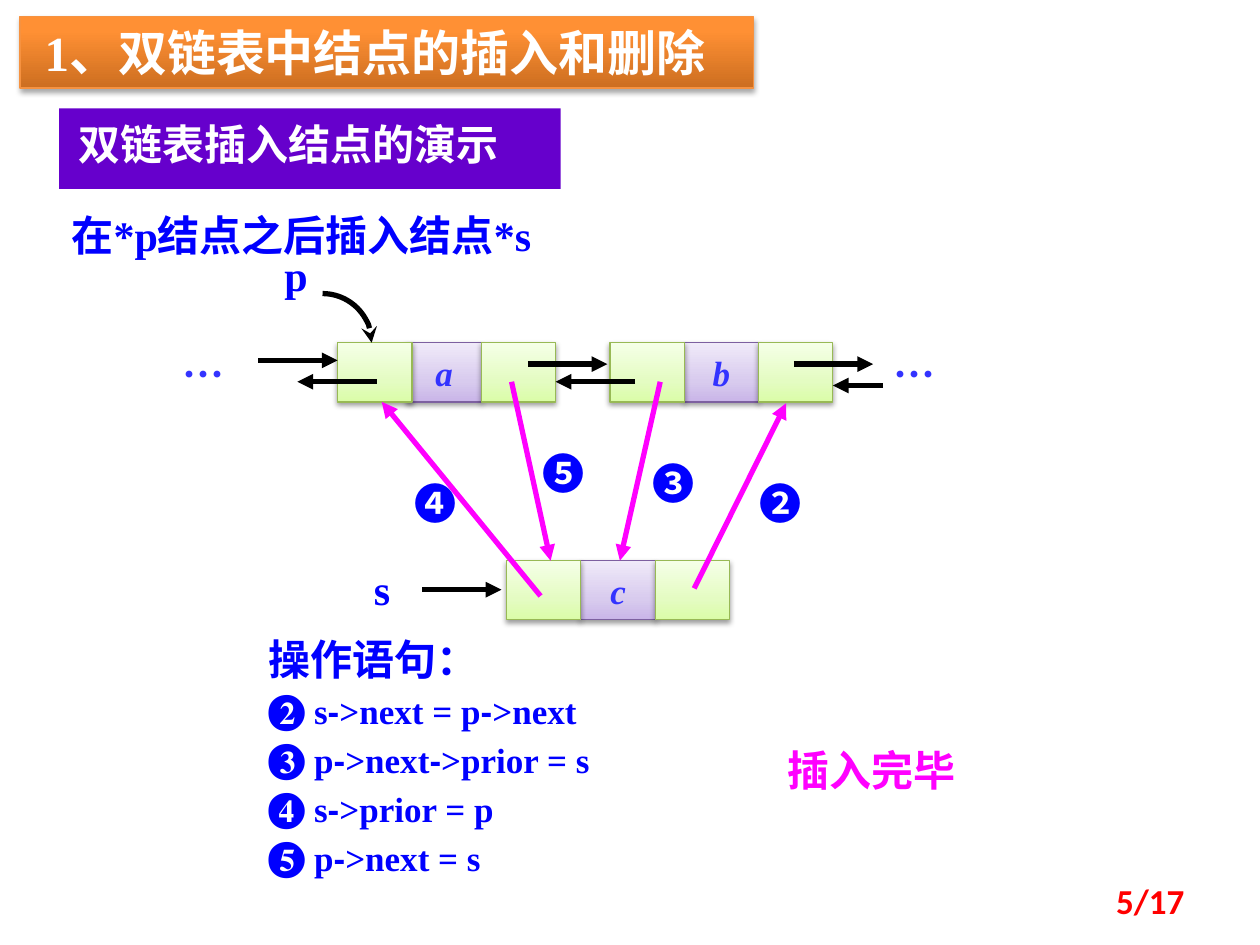
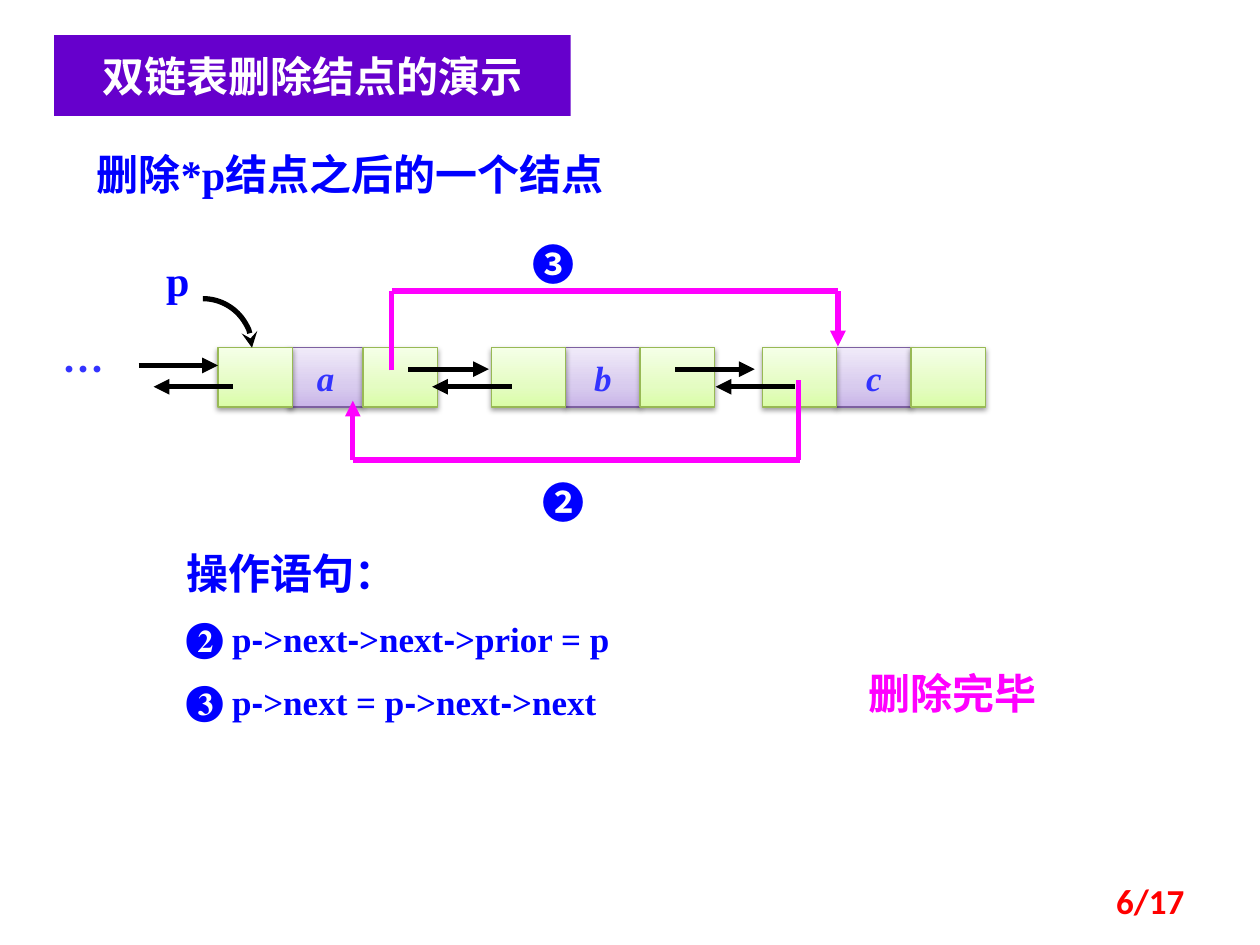
from dataclasses import dataclass

from lxml.etree import SubElement
from pptx import Presentation
from pptx.dml.color import RGBColor
from pptx.enum.shapes import MSO_CONNECTOR as Connector, MSO_SHAPE as Shape
from pptx.enum.text import MSO_ANCHOR as Anchor, PP_ALIGN as Align
from pptx.oxml import parse_xml
from pptx.oxml.ns import nsdecls, qn
from pptx.util import Inches, Pt


@dataclass(frozen=True)
class Theme:
    """Colours, fonts and type sizes of the deck."""
    blue: str = "0000FF"
    soft_blue: str = "3333FF"
    pink: str = "FF00FF"
    purple: str = "6600CC"
    white: str = "FFFFFF"
    black: str = "000000"
    red: str = "FF0000"
    # Gradients run upwards; each is (stops, outline, shadow opacity, shadow distance).
    green_cell: tuple = (((0, "DAFDA7"), (35, "E4FCC2"), (100, "F5FFE7")), "98B955", 38, 1.6)
    violet_cell: tuple = (((0, "C9B5E8"), (35, "D8CBEE"), (100, "F0EAF9")), "7D60A0", 38, 1.6)
    orange_band: tuple = (((0, "CC6E20"), (80, "FF9034"), (100, "FF9136")), "F69240", 35, 1.8)
    serif: str = "Times New Roman"
    cjk: str = "Noto Sans CJK SC"
    dash: str = "Arial"
    number: str = "Calibri"
    title: int = 28
    body: int = 24
    code: int = 20


theme = Theme()
MARKS = "❷❸❹❺"
CELL_WIDTH, CELL_HEIGHT = 0.59, 0.47


def add_box(page, at, paragraphs, colour=theme.blue, fill=None, align=Align.LEFT,
            anchor=Anchor.TOP, margins=(0.1, 0.05, 0.1, 0.05), italic=False,
            wrap=True, line_pitch=None):
    """Add a box of paragraphs, each a list of (text, size, font) runs.

    The fill is None, a plain colour or one of the theme's gradients.
    """
    left, top, width, height = map(Inches, at)
    if fill is None:
        box = page.shapes.add_textbox(left, top, width, height)
    else:
        box = page.shapes.add_shape(Shape.RECTANGLE, left, top, width, height)
        box.shadow.inherit = False
        box.line.fill.background()
    if isinstance(fill, str):
        box.fill.solid()
        box.fill.fore_color.rgb = RGBColor.from_string(fill)
    elif fill:
        stops, outline, opacity, distance = fill
        box.line.color.rgb = RGBColor.from_string(outline)
        box.line.width = Pt(0.75)
        box.fill.gradient()
        box.fill.gradient_angle = 90
        stop_list = box._element.spPr.find(".//" + qn("a:gsLst"))
        stop_list.clear()
        for position, stop_colour in stops:
            stop = SubElement(stop_list, qn("a:gs"), pos=str(position * 1000))
            SubElement(stop, qn("a:srgbClr"), val=stop_colour)
        effects = box._element.spPr.find(qn("a:effectLst"))
        effects.append(parse_xml(
            f'<a:outerShdw {nsdecls("a")} blurRad="{Pt(3.1)}" dist="{Pt(distance)}" '
            f'dir="5400000" rotWithShape="0"><a:srgbClr val="000000">'
            f'<a:alpha val="{opacity * 1000}"/></a:srgbClr></a:outerShdw>'))

    frame = box.text_frame
    frame.word_wrap = wrap
    frame.vertical_anchor = anchor
    (frame.margin_left, frame.margin_top,
     frame.margin_right, frame.margin_bottom) = map(Inches, margins)
    for index, runs in enumerate(paragraphs):
        para = frame.add_paragraph() if index else frame.paragraphs[0]
        para.alignment = align
        if line_pitch:
            para.line_spacing = Pt(line_pitch)
            para.space_before = Pt(12 if index else 0)
        for text, size, font in runs:
            span = para.add_run()
            span.text = text
            span.font.size = Pt(size)
            span.font.name = font
            span.font.bold = True
            span.font.italic = italic
            span.font.color.rgb = RGBColor.from_string(colour)
            if font == theme.cjk or text not in MARKS:
                SubElement(span._r.get_or_add_rPr(), qn("a:ea"), typeface=theme.cjk)
    return box


def style_stroke(stroke, colour, head=None):
    """Give a line or arc its colour, 3 pt width, arrowhead and no shadow."""
    stroke.line.color.rgb = RGBColor.from_string(colour)
    stroke.line.width = Pt(3)
    if head:
        SubElement(stroke.line._get_or_add_ln(), qn("a:tailEnd"), type=head)
    properties = stroke._element.spPr
    if properties.find(qn("a:effectLst")) is None:
        SubElement(properties, qn("a:effectLst"))


# Nodes are (letter, left of prior cell, left of data cell, top).
# Links are (from x, from y, to x, to y); plain links have no arrowhead.
insertion = dict(
    number="5/17",
    heading=(" 双链表插入结点的演示", (0.47, 0.86, 3.98, 0.64), Align.LEFT,
             (0.08, 0.08, 0.18, 0.16)),
    task=("在*p结点之后插入结点*s", (0.47, 1.61, 4.33, 0.5)),
    nodes=[("a", 2.68, 3.23, 2.72), ("b", 4.84, 5.43, 2.72), ("c", 4.02, 4.61, 4.45)],
    arrows=[(2.05, 2.86, 2.68, 2.86), (4.19, 2.89, 4.82, 2.89), (6.3, 2.89, 6.93, 2.89),
            (2.99, 3.03, 2.36, 3.03), (5.04, 3.03, 4.41, 3.03), (7.01, 3.06, 6.61, 3.06),
            (3.35, 4.68, 3.98, 4.68)],
    plain_links=[],
    new_links=[(5.51, 4.67, 6.24, 3.2), (5.24, 3.03, 4.92, 4.45),
               (4.29, 4.73, 3.03, 3.19), (4.06, 3.03, 4.37, 4.45)],
    curve=(2.56, 2.72),
    pointers=[("p", 2.16, 1.93), ("s", 2.87, 4.42)],
    ellipses=[(1.3, 2.72), (6.94, 2.72)],
    marks=[("❷", 5.93, 3.74), ("❸", 5.08, 3.58), ("❹", 3.19, 3.74), ("❺", 4.21, 3.5)],
    statements=["s->next = p->next", "p->next->prior = s", "s->prior = p", "p->next = s"],
    statement_box=(2.03, 5.16, 3.91, 2.06),
    line_pitch=16,
    done=("插入完毕", (5.78, 5.86, 2.28, 0.5)),
)
deletion = dict(
    number="6/17",
    heading=("双链表删除结点的演示", (0.43, 0.28, 4.1, 0.64), Align.CENTER,
             (0.18, 0.12, 0.18, 0.12)),
    task=("删除*p结点之后的一个结点", (0.67, 1.13, 5.43, 0.5)),
    nodes=[("a", 1.73, 2.29, 2.76), ("b", 3.9, 4.49, 2.76), ("c", 6.05, 6.64, 2.76)],
    arrows=[(1.1, 2.9, 1.73, 2.9), (3.24, 2.93, 3.88, 2.93), (5.36, 2.93, 5.99, 2.93),
            (1.85, 3.07, 1.22, 3.07), (4.06, 3.07, 3.43, 3.07), (6.31, 3.07, 5.68, 3.07)],
    plain_links=[(6.34, 3.02, 6.34, 3.65), (2.8, 3.65, 6.35, 3.65),
                 (3.11, 2.94, 3.11, 2.31), (3.11, 2.31, 6.65, 2.31)],
    new_links=[(2.8, 3.65, 2.8, 3.18), (6.65, 2.31, 6.65, 2.75)],
    curve=(1.61, 2.76),
    pointers=[("p", 1.22, 1.97)],
    ellipses=[(0.35, 2.68)],
    marks=[("❷", 4.21, 3.73), ("❸", 4.13, 1.84)],
    statements=["p->next->next->prior = p", "p->next = p->next->next"],
    statement_box=(1.38, 4.36, 5.04, 1.51),
    line_pitch=24,
    done=("删除完毕", (6.42, 5.25, 2.28, 0.5)),
)

deck = Presentation()
deck.slide_width, deck.slide_height = Inches(10), Inches(7.5)

for content in (insertion, deletion):
    page = deck.slides.add_slide(deck.slide_layouts[6])

    # List nodes: the prior cell lies over the data cell.
    for letter, prior_left, data_left, top in content["nodes"]:
        for left, text, fill in ((data_left, letter, theme.violet_cell),
                                 (data_left + CELL_WIDTH, "", theme.green_cell),
                                 (prior_left, "", theme.green_cell)):
            runs = [(text, theme.code, theme.serif)] if text else []
            add_box(page, (left, top, CELL_WIDTH, CELL_HEIGHT), [runs], theme.soft_blue,
                    fill, Align.CENTER, Anchor.MIDDLE, italic=True, wrap=False)

    # Existing links in black, changed links in pink.
    for links, colour, head in ((content["arrows"], theme.black, "triangle"),
                                (content["plain_links"], theme.pink, None),
                                (content["new_links"], theme.pink, "triangle")):
        for link in links:
            line = page.shapes.add_connector(Connector.STRAIGHT, *map(Inches, link))
            style_stroke(line, colour, head)

    # Curved pointer from p: the upper right quarter of a circle.
    centre_x, centre_y = content["curve"]
    radius = 0.39
    curve = page.shapes.add_shape(Shape.ARC, Inches(centre_x - radius),
                                  Inches(centre_y - radius),
                                  Inches(2 * radius), Inches(2 * radius))
    curve.fill.background()
    curve.shadow.inherit = False
    style_stroke(curve, theme.black, "stealth")

    # Short labels in the diagram.
    for text, left, top in content["pointers"]:
        add_box(page, (left, top, 0.47, 0.5), [[(text, theme.body, theme.serif)]])
    for text, left, top in content["marks"]:
        add_box(page, (left, top, 0.47, 0.5), [[(text, theme.body, theme.cjk)]])
    for left, top in content["ellipses"]:
        add_box(page, (left, top, 0.63, 0.5), [[("…", theme.body, theme.cjk)]],
                theme.soft_blue, align=Align.CENTER)

    # Numbered statements, with their hyphens in a sans face.
    paragraphs = [[("操作语句：", theme.body, theme.serif)]]
    for mark, statement in zip(MARKS, content["statements"]):
        first, *others = statement.split("-")
        runs = [(mark, theme.body, theme.serif), (" " + first, theme.code, theme.serif)]
        for part in others:
            runs += [("-", theme.code, theme.dash), (part, theme.code, theme.serif)]
        paragraphs.append(runs)
    add_box(page, content["statement_box"], paragraphs, line_pitch=content["line_pitch"])

    # Heading, task, closing remark and page number.
    text, at, align, margins = content["heading"]
    add_box(page, at, [[(text, theme.body, theme.cjk)]], theme.white, theme.purple,
            align, margins=margins)
    text, at = content["task"]
    add_box(page, at, [[(text, theme.body, theme.serif)]])
    text, at = content["done"]
    add_box(page, at, [[(text, theme.body, theme.cjk)]], theme.pink, align=Align.CENTER)
    add_box(page, (7.17, 6.95, 2.33, 0.4), [[(content["number"], theme.code, theme.number)]],
            theme.red, align=Align.RIGHT, anchor=Anchor.MIDDLE)

add_box(deck.slides[0], (0.16, 0.13, 5.82, 0.57),
        [[(" 1、双链表中结点的插入和删除", theme.title, theme.serif)]],
        theme.white, theme.orange_band)

deck.save("out.pptx")
